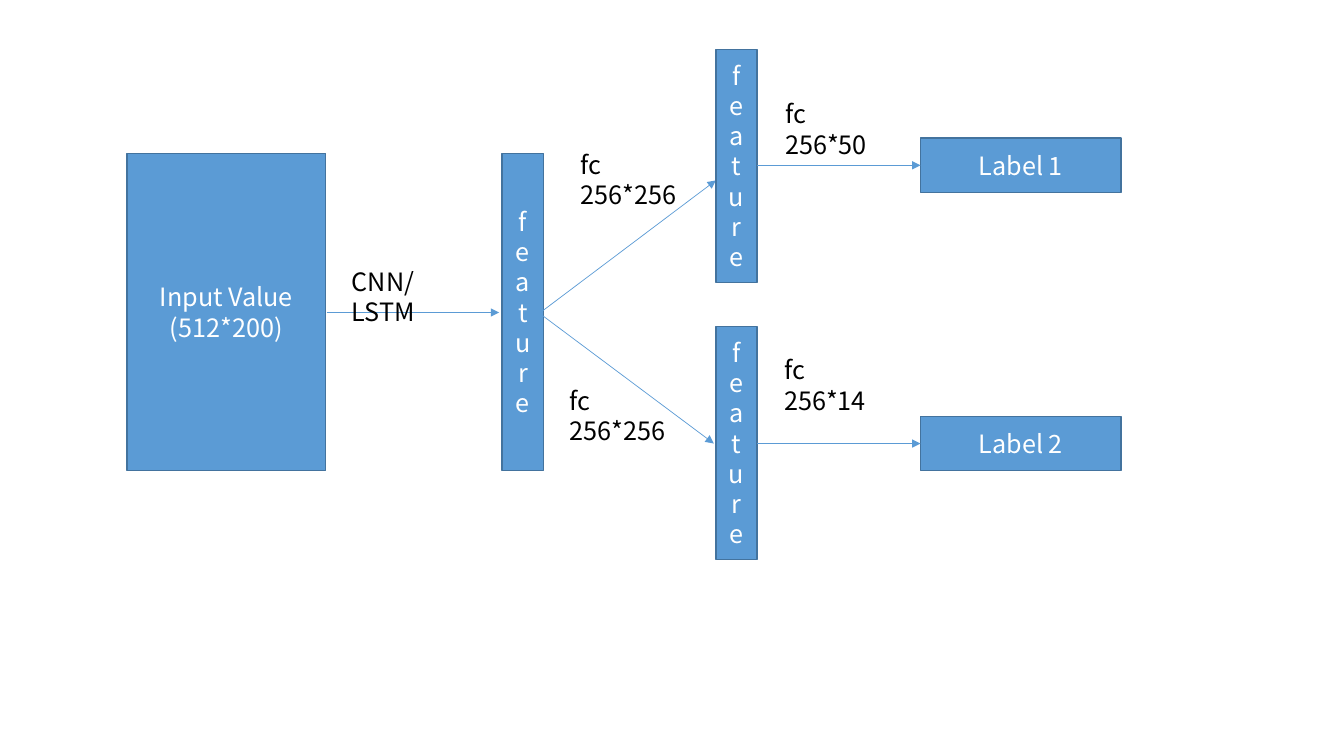
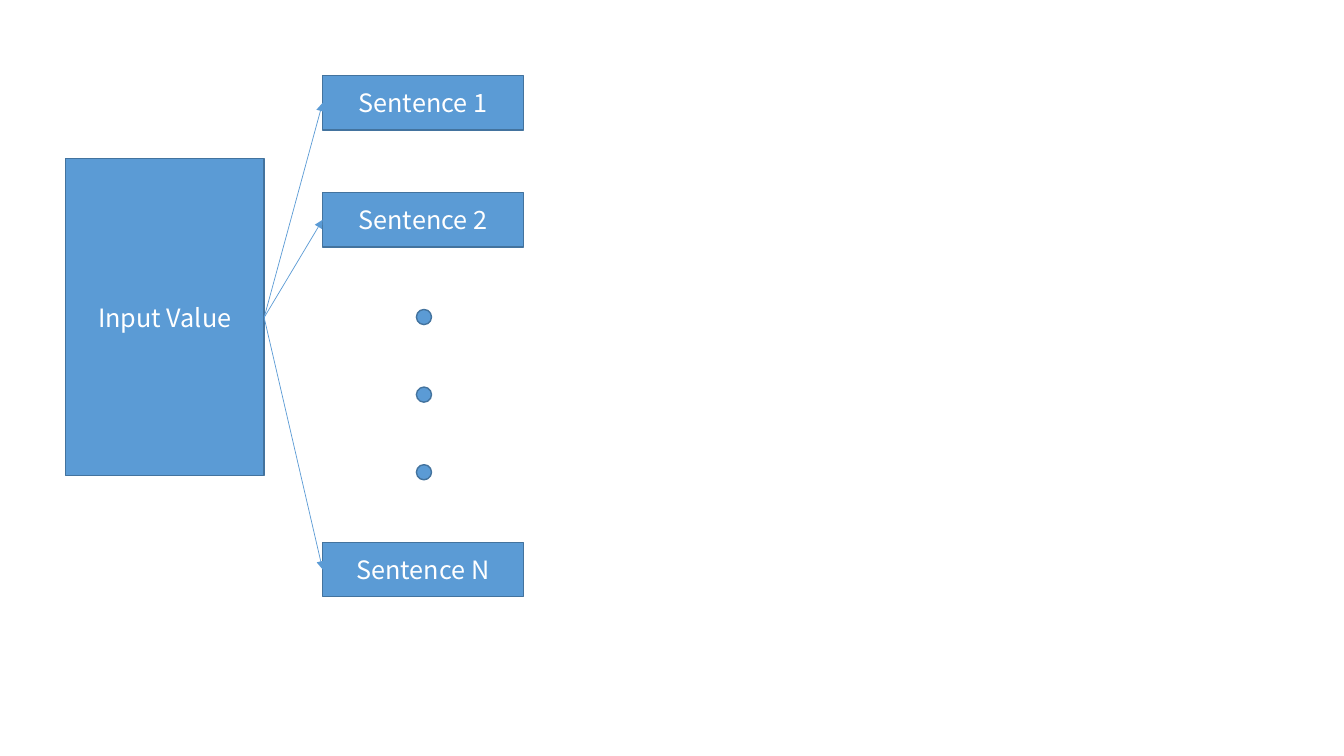
"""Build two slides: a two-branch label network and the split of an input into sentences."""
import pptx
import pptx.util
import pptx.dml.color
import pptx.enum.shapes
import pptx.enum.text
import pptx.oxml.ns
from lxml import etree

Inches = pptx.util.Inches
Pt = pptx.util.Pt
SHAPE = pptx.enum.shapes.MSO_SHAPE
ALIGN = pptx.enum.text.PP_ALIGN
qn = pptx.oxml.ns.qn

BLUE = pptx.dml.color.RGBColor(0x5B, 0x9B, 0xD5)
EDGE = pptx.dml.color.RGBColor(0x43, 0x73, 0x9E)
WHITE = pptx.dml.color.RGBColor(0xFF, 0xFF, 0xFF)
BLACK = pptx.dml.color.RGBColor(0x00, 0x00, 0x00)
FONT = "Noto Sans CJK SC"

INPUT_W, INPUT_H = 1.97, 3.15
LABEL_W, LABEL_H = 1.99, 0.54
FEATURE_W, BRANCH_H = 0.41, 2.31
NOTE_W = 1.27
DOT = 0.15


def add_block(s, kind, left, top, width, height, text=""):
    if kind is None:
        sp = s.shapes.add_textbox(Inches(left), Inches(top), Inches(width), Inches(height))
        color, align = BLACK, ALIGN.LEFT
    else:
        sp = s.shapes.add_shape(kind, Inches(left), Inches(top), Inches(width), Inches(height))
        sp.shadow.inherit = False
        sp.fill.solid()
        sp.fill.fore_color.rgb = BLUE
        sp.line.color.rgb = EDGE
        sp.line.width = Pt(1)
        color, align = WHITE, ALIGN.CENTER
    if not text:
        return
    tf = sp.text_frame
    tf.word_wrap = True
    if kind is not None:
        tf.vertical_anchor = pptx.enum.text.MSO_ANCHOR.MIDDLE
        tf.margin_left = tf.margin_right = Inches(0.12)
    tf.text = text
    for p in tf.paragraphs:
        p.alignment = align
        p.line_spacing = Pt(21.6)
        p.font.name = FONT
        p.font.size = Pt(18)
        p.font.color.rgb = color


def add_arrow(s, x1, y1, x2, y2):
    line = s.shapes.add_connector(
        pptx.enum.shapes.MSO_CONNECTOR.STRAIGHT, Inches(x1), Inches(y1), Inches(x2), Inches(y2))
    line.line.color.rgb = BLUE
    line.line.width = Pt(0.5)
    ln = line.line._get_or_add_ln()
    etree.SubElement(ln, qn("a:tailEnd"), type="triangle")
    etree.SubElement(ln.getparent(), qn("a:effectLst"))


prs = pptx.Presentation()
prs.slide_width = Inches(13.33)
prs.slide_height = Inches(7.5)
blank = prs.slide_layouts[6]

s = prs.slides.add_slide(blank)
add_block(s, SHAPE.RECTANGLE, 1.26, 1.52, INPUT_W, INPUT_H, "Input Value\n(512*200)")
add_arrow(s, 3.24, 3.1, 4.95, 3.1)
add_block(s, None, 3.39, 2.59, 1.41, 0.4, "CNN/LSTM")
add_block(s, SHAPE.RECTANGLE, 4.98, 1.52, FEATURE_W, INPUT_H, "feature")

branches = [
    ("Label 1", 0.49, 1.64, (5.36, 3.1, 7.1, 1.79)),
    ("Label 2", 3.24, 4.4, (5.34, 3.1, 7.08, 4.4)),
]
for label, top, middle, fork in branches:
    add_block(s, SHAPE.RECTANGLE, 9.13, middle - LABEL_H / 2, LABEL_W, LABEL_H, label)
    add_arrow(s, *fork)
    add_block(s, SHAPE.RECTANGLE, 7.1, top, FEATURE_W, BRANCH_H, "feature")
    add_arrow(s, 7.1 + FEATURE_W, middle, 9.13, middle)

notes = [
    (5.66, 1.43, "256*256"),
    (5.55, 3.77, "256*256"),
    (7.69, 0.93, "256*50"),
    (7.68, 3.47, "256*14"),
]
for left, top, size in notes:
    add_block(s, None, left, top, NOTE_W, 0.71, "fc\n" + size)

s = prs.slides.add_slide(blank)
add_block(s, SHAPE.RECTANGLE, 0.65, 1.57, INPUT_W, INPUT_H, "Input Value")
for name, top in [("1", 0.75), ("2", 1.91), ("N", 5.38)]:
    add_block(s, SHAPE.RECTANGLE, 3.2, top, LABEL_W, LABEL_H, "Sentence " + name)
    add_arrow(s, 0.65 + INPUT_W, 3.15, 3.2, top + LABEL_H / 2)
for i in range(3):
    add_block(s, SHAPE.OVAL, 4.13, 3.07 + 0.77 * i, DOT, DOT)

prs.save("out.pptx")
